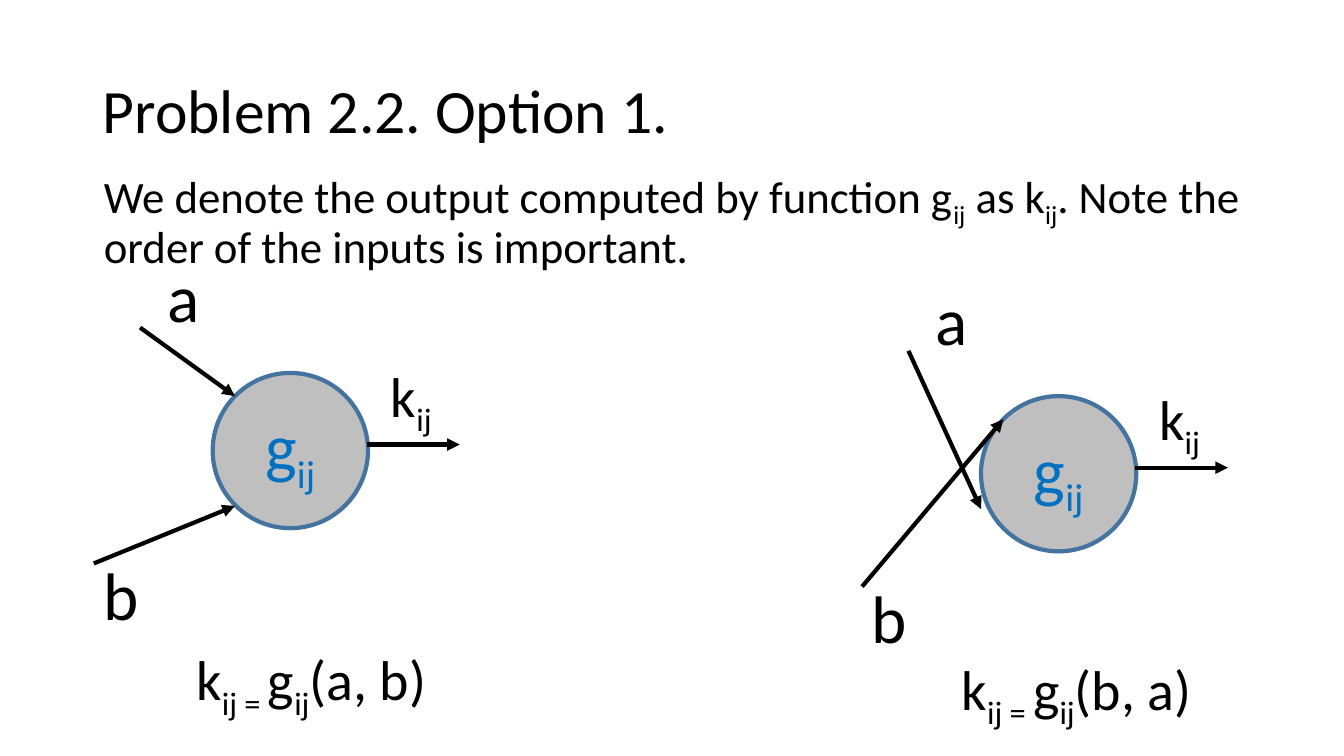
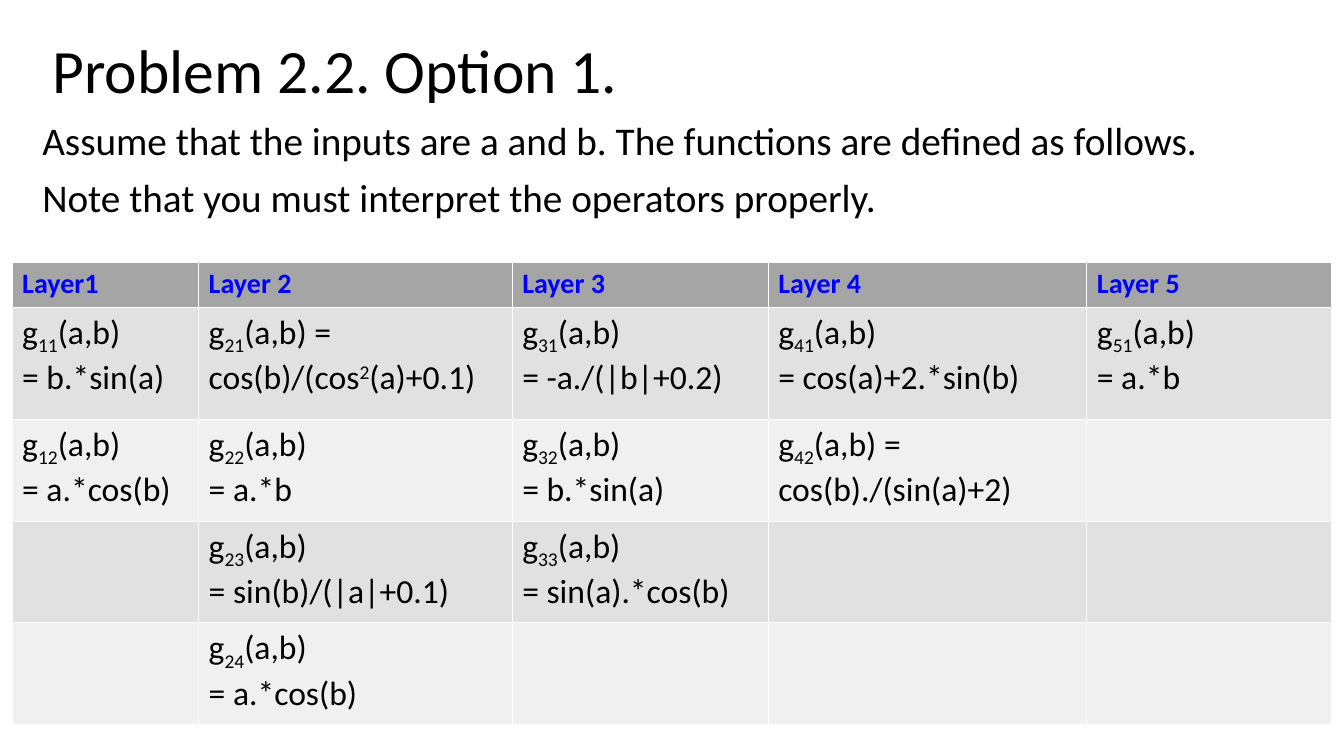
"""Build two slides on the functions of a layered network and the order of their inputs."""
from dataclasses import dataclass
from typing import NamedTuple

from lxml import etree
from pptx import Presentation
from pptx.dml.color import RGBColor
from pptx.enum import shapes, text
from pptx.oxml import ns
from pptx.util import Inches, Pt

BLACK = RGBColor(0x00, 0x00, 0x00)
NODE_GRAY = RGBColor(0xBF, 0xBF, 0xBF)
NODE_EDGE = RGBColor(0x43, 0x73, 0x9E)
NODE_TEXT = RGBColor(0x00, 0x70, 0xC0)
HEADER_TEXT = RGBColor(0x00, 0x00, 0xFF)
HEADER_GRAY = RGBColor(0xA5, 0xA5, 0xA5)
BANDS = (RGBColor(0xE1, 0xE1, 0xE1), RGBColor(0xF0, 0xF0, 0xF0))

FONT = "Calibri"
HEADING = "Problem 2.2. Option 1."
SCRIPTS = {"_": "-25000", "^": "30000"}
NODE_SIZE = 1.54
STROKE = Pt(3)


class Point(NamedTuple):
    """A place on the slide, in inches."""

    x: float
    y: float

    def shifted(self, by: "Point") -> "Point":
        """Return this place moved by an offset."""
        return Point(self.x + by.x, self.y + by.y)


class Box(NamedTuple):
    """A rectangle on the slide, in inches."""

    left: float
    top: float
    width: float
    height: float


@dataclass(frozen=True)
class Neuron:
    """A node diagram: its offset, where its inputs arrive, and its formula."""

    offset: Point
    a_end: Point
    b_end: Point
    formula: str
    formula_box: Box


@dataclass(frozen=True)
class Layer:
    """A table column: its heading, width and function definitions."""

    heading: str
    width: float
    definitions: tuple[str, ...]


UPPER_INPUT = Point(2.33, 3.93)
LOWER_INPUT = Point(2.33, 5.02)
LEFT_INPUT = Point(2.11, 4.82)

NEURONS = (
    Neuron(Point(0, 0), UPPER_INPUT, LOWER_INPUT,
           "k{_ij = }g{_ij}(a, b)", Box(1.85, 6.35, 2.59, 0.77)),
    Neuron(Point(7.62, 0.23), LEFT_INPUT, UPPER_INPUT,
           "k{_ij = }g{_ij}(b, a)", Box(9.44, 6.44, 2.62, 0.77)),
)

LAYERS = (
    Layer("Layer1", 1.85, ("\n= b.*sin(a)", "\n= a.*cos(b)")),
    Layer("Layer 2", 3.11, (" = cos(b)/(cos{^2}(a)+0.1)", "\n= a.*b",
                            "\n= sin(b)/(|a|+0.1)", "\n= a.*cos(b)")),
    Layer("Layer 3", 2.54, ("\n= -a./(|b|+0.2)", "\n= b.*sin(a)", "\n= sin(a).*cos(b)")),
    Layer("Layer 4", 3.16, ("\n= cos(a)+2.*sin(b)", " = cos(b)./(sin(a)+2)")),
    Layer("Layer 5", 2.43, ("\n= a.*b",)),
)
ROW_HEIGHTS = (0.45, 1.11, 1.01, 1.01, 1.01)


def write(frame, markup: str, size: float, color: RGBColor = BLACK, bold: bool = False) -> None:
    """Fill a text frame line by line, with {_low} and {^high} as scripts."""
    for number, line in enumerate(markup.split("\n")):
        paragraph = frame.add_paragraph() if number else frame.paragraphs[0]
        for piece in filter(None, line.replace("{", "}{").split("}")):
            run = paragraph.add_run()
            if piece.startswith("{"):
                run.text = piece[2:]
                run._r.get_or_add_rPr().set("baseline", SCRIPTS[piece[1]])
            else:
                run.text = piece
        font = paragraph.font
        font.name, font.size, font.bold = FONT, Pt(size), bold
        font.color.rgb = color


def fill_placeholder(holder, box: Box, markup: str, size: float) -> None:
    """Move a placeholder and give it plain, left-aligned text."""
    holder.left, holder.top, holder.width, holder.height = map(Inches, box)
    frame = holder.text_frame
    frame.auto_size = text.MSO_AUTO_SIZE.NONE
    write(frame, markup, size)
    for number, paragraph in enumerate(frame.paragraphs):
        properties = paragraph._p.get_or_add_pPr()
        properties.set("marL", "0")
        properties.set("indent", "0")
        properties.insert(0, etree.Element(ns.qn("a:buNone")))
        paragraph.alignment = text.PP_ALIGN.LEFT
        paragraph.line_spacing = 0.9
        paragraph.space_before = Pt(10 if number else 0)


def add_problem_slide(deck, title_at: Point, body_box: Box, body: str, body_size: float):
    """Add a slide with the shared heading and an introduction."""
    slide = deck.slides.add_slide(deck.slide_layouts[1])
    fill_placeholder(slide.shapes.title, Box(*title_at, 11.5, 1.45), HEADING, 44)
    fill_placeholder(slide.placeholders[1], body_box, body, body_size)
    return slide


def add_label(slide, box: Box, markup: str, size: float) -> None:
    """Add an unwrapped label."""
    frame = slide.shapes.add_textbox(*map(Inches, box)).text_frame
    frame.word_wrap = False
    frame.auto_size = text.MSO_AUTO_SIZE.SHAPE_TO_FIT_TEXT
    write(frame, markup, size)


def add_arrow(slide, start: Point, end: Point) -> None:
    """Draw a black arrow between two places."""
    arrow = slide.shapes.add_connector(
        shapes.MSO_CONNECTOR.STRAIGHT, *map(Inches, (*start, *end)))
    arrow.line.color.rgb = BLACK
    arrow.line.width = STROKE
    etree.SubElement(arrow.line._get_or_add_ln(), ns.qn("a:tailEnd"), type="triangle")
    etree.SubElement(arrow._element.spPr, ns.qn("a:effectLst"))


def add_neuron(slide, neuron: Neuron) -> None:
    """Draw a node with its two inputs, its output and its formula."""
    corner = Point(2.11, 3.7).shifted(neuron.offset)
    node = slide.shapes.add_shape(
        shapes.MSO_SHAPE.OVAL, *map(Inches, (*corner, NODE_SIZE, NODE_SIZE)))
    node.shadow.inherit = False
    node.fill.solid()
    node.fill.fore_color.rgb = NODE_GRAY
    node.line.color.rgb = NODE_EDGE
    node.line.width = STROKE
    node.text_frame.vertical_anchor = text.MSO_ANCHOR.MIDDLE
    write(node.text_frame, "g{_ij}", 48, NODE_TEXT)
    node.text_frame.paragraphs[0].alignment = text.PP_ALIGN.CENTER

    for start, end in (
        (Point(1.39, 3.25), neuron.a_end),
        (Point(0.93, 5.59), neuron.b_end),
        (Point(3.64, 4.41), Point(4.56, 4.41)),
    ):
        add_arrow(slide, start.shifted(neuron.offset), end.shifted(neuron.offset))

    for place, width, height, markup, size in (
        (Point(3.78, 3.54), 0.63, 0.77, "k{_ij}", 40),
        (Point(1.56, 2.48), 0.52, 0.91, "a", 48),
        (Point(0.93, 5.44), 0.56, 0.91, "b", 48),
    ):
        add_label(slide, Box(*place.shifted(neuron.offset), width, height), markup, size)
    add_label(slide, neuron.formula_box, neuron.formula, 40)


def fill_cell(cell, color: RGBColor) -> None:
    """Give a table cell a solid fill."""
    cell.fill.solid()
    cell.fill.fore_color.rgb = color


def add_layer_table(slide) -> None:
    """Add the table of functions, one column a layer."""
    total_width = sum(layer.width for layer in LAYERS)
    table = slide.shapes.add_table(
        len(ROW_HEIGHTS), len(LAYERS),
        *map(Inches, (0.12, 2.6, total_width, sum(ROW_HEIGHTS)))).table
    for row, height in zip(table.rows, ROW_HEIGHTS):
        row.height = Inches(height)
    for column, layer in enumerate(LAYERS):
        table.columns[column].width = Inches(layer.width)
        header = table.cell(0, column)
        fill_cell(header, HEADER_GRAY)
        write(header.text_frame, layer.heading, 20, HEADER_TEXT, bold=True)
        for row in range(1, len(ROW_HEIGHTS)):
            fill_cell(table.cell(row, column), BANDS[(row - 1) % 2])
        for row, definition in enumerate(layer.definitions, start=1):
            function = f"g{{_{column + 1}{row}}}(a,b)"
            write(table.cell(row, column).text_frame, function + definition, 24)


def main() -> None:
    """Build and save the slides."""
    deck = Presentation()
    deck.slide_width, deck.slide_height = Inches(13.33), Inches(7.5)

    order = add_problem_slide(
        deck, Point(0.92, 0.4), Box(0.93, 1.63, 11.5, 4.76),
        "We denote the output computed by function g{_ij} as k{_ij}. "
        "Note the order of the inputs is important.", 32)
    for neuron in NEURONS:
        add_neuron(order, neuron)

    functions = add_problem_slide(
        deck, Point(0.42, 0), Box(0.32, 1.16, 12.69, 4.76),
        "Assume that the inputs are a and b. The functions are defined as follows.\n"
        "Note that you must interpret the operators properly.", 28)
    add_layer_table(functions)

    deck.save("out.pptx")


if __name__ == "__main__":
    main()
